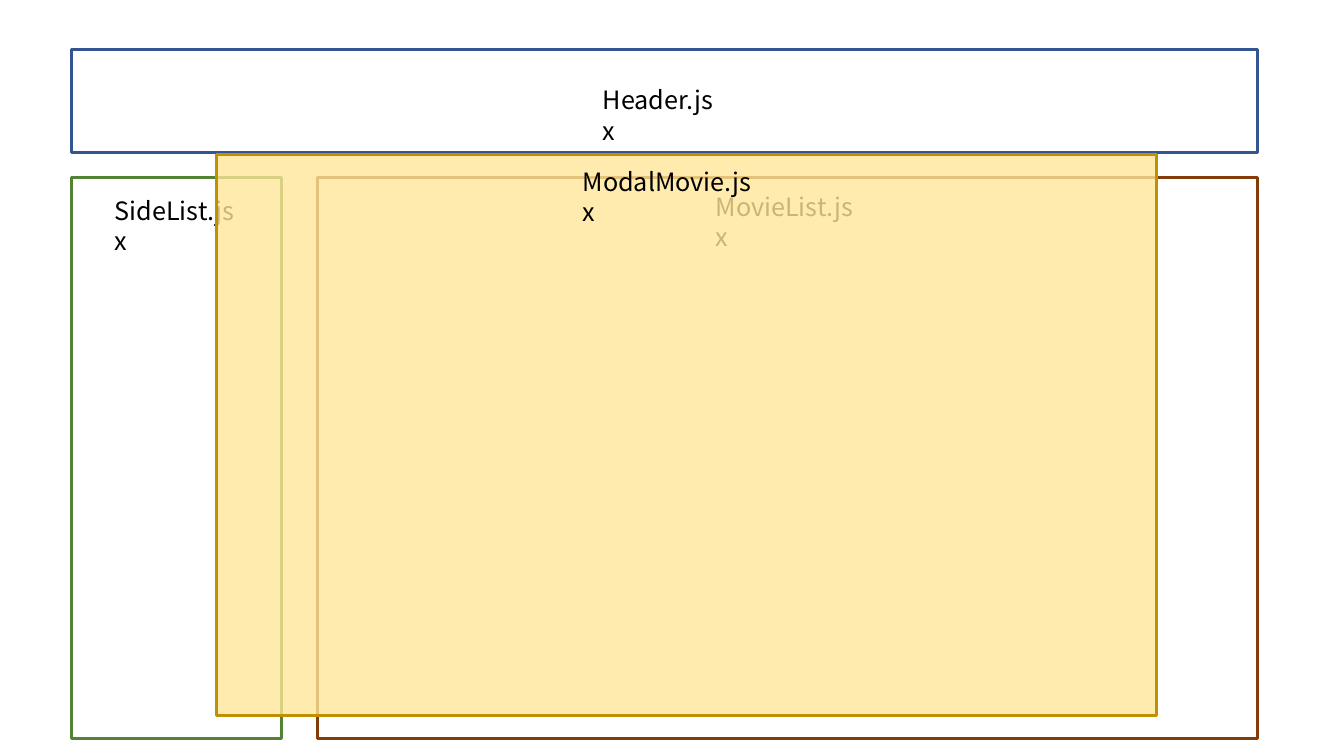
from dataclasses import dataclass
from typing import Optional

from lxml import etree
from pptx import Presentation, util as u
from pptx.dml.color import RGBColor
from pptx.enum import shapes, text
from pptx.oxml import ns

FONT = "Noto Sans CJK KR"
COLOURS = {
    "header": "325491",
    "side": "548235",
    "movies": "843C0B",
    "modal": "BF9000",
    "modal_fill": "FFE699",
    "label": "000000",
}
LEFT, RIGHT = 0.71, 12.47
BODY_TOP, BODY_HEIGHT = 1.76, 5.57
MOVIES_LEFT = 3.15
MOVIES_WIDTH = RIGHT - MOVIES_LEFT
MODAL_SHIFT_X, MODAL_SHIFT_Y = 1.0, 0.23
LABEL_HEIGHT = 0.4


@dataclass(frozen=True)
class Region:
    """An outlined area of the page layout, in inches."""
    left: float
    top: float
    width: float
    height: float
    outline: str
    fill: Optional[str] = None
    opacity: int = 100


@dataclass(frozen=True)
class Label:
    """The file name of a component, in inches."""
    name: str
    left: float
    top: float
    width: float


def draw_region(slide, region: Region) -> None:
    """Draw one outlined rectangle, filled only if a fill is given."""
    area = slide.shapes.add_shape(
        shapes.MSO_SHAPE.RECTANGLE, u.Inches(region.left), u.Inches(region.top),
        u.Inches(region.width), u.Inches(region.height))
    area.shadow.inherit = False
    area.line.color.rgb = RGBColor.from_string(COLOURS[region.outline])
    area.line.width = u.Pt(2.25)
    if region.fill is None:
        area.fill.background()
        return
    area.fill.solid()
    area.fill.fore_color.rgb = RGBColor.from_string(COLOURS[region.fill])
    colour = area.fill._xPr.find(ns.qn("a:solidFill")).find(ns.qn("a:srgbClr"))
    etree.SubElement(colour, ns.qn("a:alpha"), val=str(region.opacity * 1000))


def draw_label(slide, label: Label) -> None:
    """Write one component file name."""
    box = slide.shapes.add_textbox(
        u.Inches(label.left), u.Inches(label.top),
        u.Inches(label.width), u.Inches(LABEL_HEIGHT))
    frame = box.text_frame
    frame.word_wrap = True
    frame.auto_size = text.MSO_AUTO_SIZE.SHAPE_TO_FIT_TEXT
    frame.text = label.name
    font = frame.paragraphs[0].runs[0].font
    font.name = FONT
    font.size = u.Pt(18)
    font.color.rgb = RGBColor.from_string(COLOURS["label"])


PAGE_REGIONS = [
    Region(LEFT, 0.49, RIGHT - LEFT, 1.02, "header"),
    Region(LEFT, BODY_TOP, 2.08, BODY_HEIGHT, "side"),
    Region(MOVIES_LEFT, BODY_TOP, MOVIES_WIDTH, BODY_HEIGHT, "movies"),
]
PAGE_LABELS = [
    Label("SideList.jsx", 1.04, 1.89, 1.41),
    Label("Header.jsx", 5.88, 0.79, 1.35),
    Label("MovieList.jsx", 7, 1.85, 1.63),
]
MODAL = Region(MOVIES_LEFT - MODAL_SHIFT_X, BODY_TOP - MODAL_SHIFT_Y,
               MOVIES_WIDTH, BODY_HEIGHT, "modal", "modal_fill", 79)
MODAL_LABEL = Label("ModalMovie.jsx", 5.68, 1.6, 1.97)


def main() -> None:
    """Build the page layout with the modal on top of it."""
    deck = Presentation()
    deck.slide_width, deck.slide_height = u.Inches(13.33), u.Inches(7.5)
    slide = deck.slides.add_slide(deck.slide_layouts[6])
    for region in PAGE_REGIONS:
        draw_region(slide, region)
    for label in PAGE_LABELS:
        draw_label(slide, label)
    draw_region(slide, MODAL)
    draw_label(slide, MODAL_LABEL)
    deck.save("out.pptx")


main()
